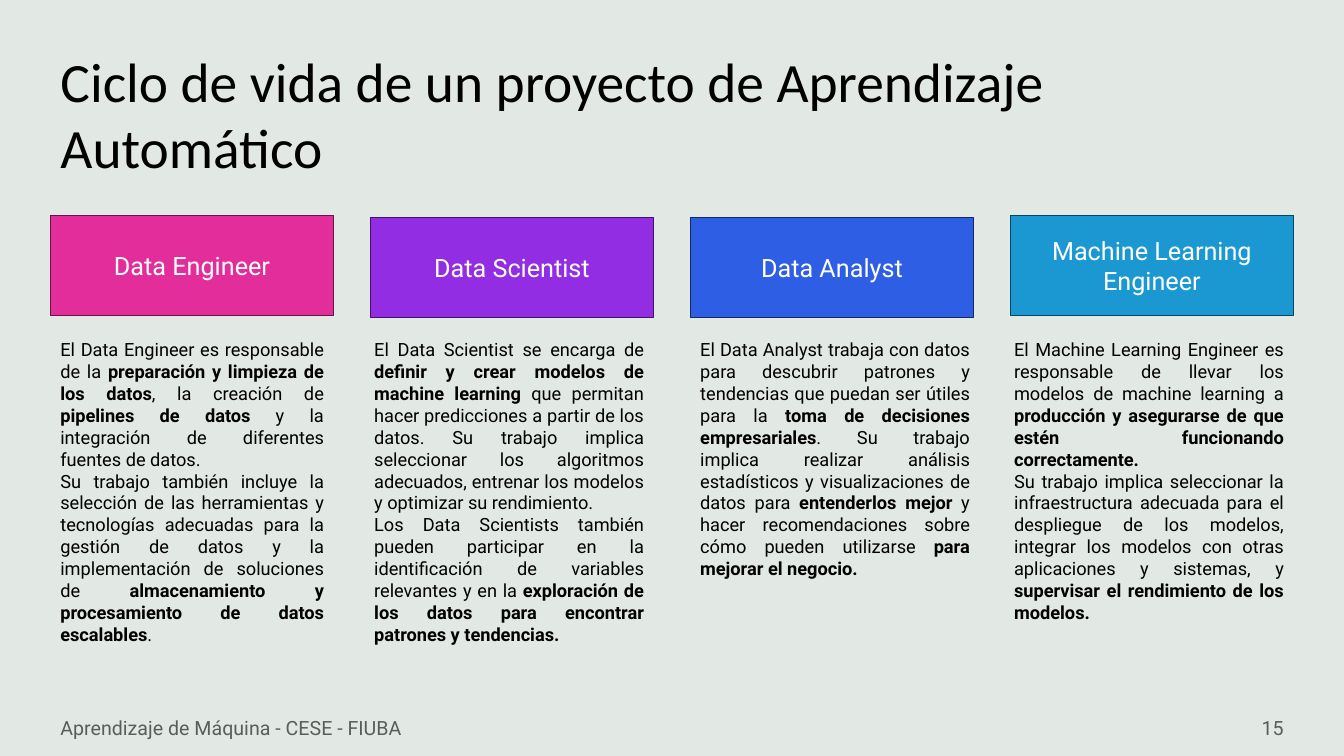
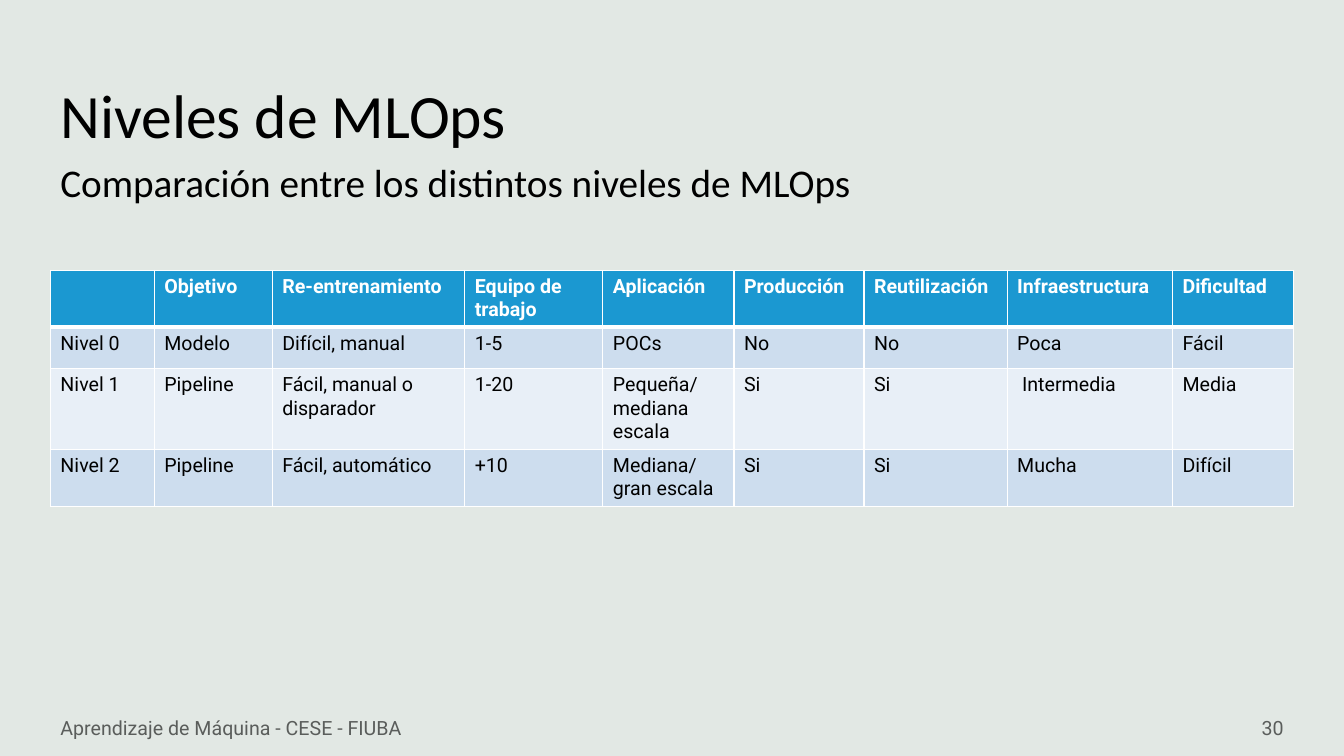
from lxml import etree
from pptx import Presentation
from pptx.dml.color import RGBColor
from pptx.enum.shapes import MSO_SHAPE
from pptx.enum.text import MSO_ANCHOR, MSO_AUTO_SIZE, PP_ALIGN
from pptx.oxml.ns import qn
from pptx.util import Inches, Pt

RECTANGLE = MSO_SHAPE.RECTANGLE
TOP, MIDDLE = MSO_ANCHOR.TOP, MSO_ANCHOR.MIDDLE
LEFT, CENTER, RIGHT, JUSTIFY = (
    PP_ALIGN.LEFT, PP_ALIGN.CENTER, PP_ALIGN.RIGHT, PP_ALIGN.JUSTIFY)
NO_AUTOFIT = MSO_AUTO_SIZE.NONE

# Shared style, lengths in inches
SLIDE_WIDTH, SLIDE_HEIGHT = 13.33, 7.5
MARGIN = 0.5
CONTENT_WIDTH = SLIDE_WIDTH - 2 * MARGIN
TITLE_BOX = (MARGIN, 0.4, 11.92, 1.45)
SUBTITLE_BOX = (MARGIN, 1.56, 11.92, 0.55)
FOOTER_TOP, FOOTER_HEIGHT = 7.02, 0.4
HEADING_FONT, BODY_FONT = "Calibri", "Roboto"
FOOTER = "Aprendizaje de Máquina - CESE - FIUBA"
COLORS = {
    "background": "E2E8E4",
    "text": "000000",
    "footer": "5A5D5B",
    "white": "FFFFFF",
    "pink": "E32D9B", "pink_line": "631444",
    "purple": "932DE3", "purple_line": "401463",
    "blue": "2D5EE3", "blue_line": "142963",
    "cyan": "1B98D1", "cyan_line": "0C435C",
    "band_dark": "CDDDEE", "band_light": "E8EFF7",
}

# Roles: heading, colour, heading drop, text shift, extra text width, paragraphs
# (text between ** marks is bold)
ROLES = [
    ("Data Engineer", "pink", 0, 0, 0, [
        "El Data Engineer es responsable de la **preparación y limpieza de los "
        "datos**, la creación de **pipelines de datos **y la integración de "
        "diferentes fuentes de datos.",
        "Su trabajo también incluye la selección de las herramientas y "
        "tecnologías adecuadas para la gestión de datos y la implementación de "
        "soluciones de **almacenamiento y procesamiento de datos escalables**.",
    ]),
    ("Data Scientist", "purple", 0.02, -0.06, 0.06, [
        "El Data Scientist se encarga de **definir y crear modelos de machine "
        "learning **que permitan hacer predicciones a partir de los datos. Su "
        "trabajo implica seleccionar los algoritmos adecuados, entrenar los "
        "modelos y optimizar su rendimiento.",
        "Los Data Scientists también pueden participar en la identificación de "
        "variables relevantes y en la **exploración de los datos para encontrar "
        "patrones y tendencias.**",
    ]),
    ("Data Analyst", "blue", 0.02, 0, 0.06, [
        "El Data Analyst trabaja con datos para descubrir patrones y tendencias "
        "que puedan ser útiles para la **toma de decisiones empresariales**. Su "
        "trabajo implica realizar análisis estadísticos y visualizaciones de "
        "datos para **entenderlos mejor **y hacer recomendaciones sobre cómo "
        "pueden utilizarse **para mejorar el negocio.**",
    ]),
    ("Machine Learning Engineer", "cyan", 0, -0.06, 0.06, [
        "El Machine Learning Engineer es responsable de llevar los modelos de "
        "machine learning a **producción y asegurarse de que estén funcionando "
        "correctamente.**",
        "Su trabajo implica seleccionar la infraestructura adecuada para el "
        "despliegue de los modelos, integrar los modelos con otras aplicaciones "
        "y sistemas, y **supervisar el rendimiento de los modelos.**",
    ]),
]

LEVELS = [
    ["", "Objetivo", "Re-entrenamiento", "Equipo de trabajo", "Aplicación",
     "Producción", "Reutilización", "Infraestructura", "Dificultad"],
    ["Nivel 0", "Modelo", "Difícil, manual", "1-5", "POCs",
     "No", "No", "Poca", "Fácil"],
    ["Nivel 1", "Pipeline", "Fácil, manual o disparador", "1-20",
     "Pequeña/\nmediana escala", "Si", "Si", " Intermedia", "Media"],
    ["Nivel 2", "Pipeline", "Fácil, automático", "+10",
     "Mediana/\ngran escala", "Si", "Si", "Mucha", "Difícil"],
]
COLUMN_WIDTHS = [1.03, 1.17, 1.91, 1.37, 1.3, 1.29, 1.42, 1.64, 1.2]
ROW_HEIGHTS = [0.55, 0.41, 0.79, 0.56]


def color(name):
    return RGBColor.from_string(COLORS[name])


def inches(box):
    return [Inches(length) for length in box]


def write(frame, paragraphs, size, ink="text", font=BODY_FONT, align=LEFT,
          anchor=MIDDLE, bold=False, spacing=None):
    """Fill a text frame; ** marks switch bold on and off."""
    frame.word_wrap = True
    frame.vertical_anchor = anchor
    for index, text in enumerate(paragraphs):
        paragraph = frame.add_paragraph() if index else frame.paragraphs[0]
        paragraph.alignment = align
        if spacing:
            paragraph.line_spacing = spacing
        for part, piece in enumerate(text.split("**")):
            if piece:
                run = paragraph.add_run()
                run.text = piece
                run.font.name = font
                run.font.size = Pt(size)
                run.font.bold = bold or part % 2 == 1
                run.font.color.rgb = color(ink)


def add_text(slide, box, paragraphs, size, **style):
    shape = slide.shapes.add_textbox(*inches(box))
    write(shape.text_frame, paragraphs, size, **style)


def add_base_slide(presentation, title, title_size, number):
    """Title-only slide with the common title and footer."""
    slide = presentation.slides.add_slide(presentation.slide_layouts[5])
    placeholder = slide.shapes.title
    placeholder.left, placeholder.top, placeholder.width, placeholder.height = (
        inches(TITLE_BOX))
    placeholder.text_frame.auto_size = NO_AUTOFIT
    write(placeholder.text_frame, [title], title_size, font=HEADING_FONT)

    add_text(slide, (MARGIN, FOOTER_TOP, 4.5, FOOTER_HEIGHT), [FOOTER], 14,
             ink="footer")
    add_text(slide, (SLIDE_WIDTH - MARGIN - 3, FOOTER_TOP, 3, FOOTER_HEIGHT),
             [str(number)], 14, ink="footer", align=RIGHT)
    return slide


def add_role(slide, box, role):
    """Coloured heading over a justified description."""
    left, top, width, height = box
    heading, fill, drop, shift, extra, paragraphs = role
    heading_height, text_offset = 0.99, 1.17

    shape = slide.shapes.add_shape(
        RECTANGLE, *inches((left, top + drop, width, heading_height)))
    shape.shadow.inherit = False
    shape.fill.solid()
    shape.fill.fore_color.rgb = color(fill)
    shape.line.color.rgb = color(fill + "_line")
    shape.line.width = Pt(1)
    write(shape.text_frame, [heading], 18, ink="white", align=CENTER)

    add_text(slide, (left + shift, top + text_offset, width + extra,
                     height - text_offset),
             paragraphs, 13, align=JUSTIFY, anchor=TOP)


def set_borders(cell, widths):
    """White cell borders; widths maps side letters to points."""
    properties = cell._tc.get_or_add_tcPr()
    for index, side in enumerate("LRTB"):
        line = etree.Element(qn(f"a:ln{side}"), w=str(Pt(widths[side])))
        fill = etree.SubElement(line, qn("a:solidFill"))
        etree.SubElement(fill, qn("a:srgbClr"), val=COLORS["white"])
        properties.insert(index, line)


def add_level_table(slide, box):
    table = slide.shapes.add_table(
        len(LEVELS), len(COLUMN_WIDTHS), *inches(box)).table
    for column, width in zip(table.columns, COLUMN_WIDTHS):
        column.width = Inches(width)
    for row_index, values in enumerate(LEVELS):
        table.rows[row_index].height = Inches(ROW_HEIGHTS[row_index])
        header = row_index == 0
        band = "band_dark" if row_index % 2 else "band_light"
        borders = {"L": 1, "R": 1, "T": 3 if row_index == 1 else 1,
                   "B": 3 if header else 1}
        for column_index, value in enumerate(values):
            cell = table.cell(row_index, column_index)
            cell.fill.solid()
            cell.fill.fore_color.rgb = color("cyan" if header else band)
            set_borders(cell, borders)
            write(cell.text_frame, value.split("\n"), 14, anchor=TOP,
                  ink="white" if header else "text", bold=header)


def build_roles_slide(presentation):
    slide = add_base_slide(
        presentation, "Ciclo de vida de un proyecto de Aprendizaje Automático",
        39.6, 15)
    top, width, height = 2.14, 2.81, 4.55
    pitch = (CONTENT_WIDTH - width) / (len(ROLES) - 1)
    for index, role in enumerate(ROLES):
        add_role(slide, (MARGIN + index * pitch, top, width, height), role)


def build_levels_slide(presentation):
    slide = add_base_slide(presentation, "Niveles de MLOps", 44, 30)
    add_text(slide, SUBTITLE_BOX,
             ["Comparación entre los distintos niveles de MLOps"], 28,
             font=HEADING_FONT, spacing=0.9)
    add_level_table(slide, (MARGIN, 2.68, CONTENT_WIDTH, sum(ROW_HEIGHTS)))


def main():
    presentation = Presentation()
    presentation.slide_width = Inches(SLIDE_WIDTH)
    presentation.slide_height = Inches(SLIDE_HEIGHT)
    background = presentation.slide_master.background.fill
    background.solid()
    background.fore_color.rgb = color("background")
    build_roles_slide(presentation)
    build_levels_slide(presentation)
    presentation.save("out.pptx")


if __name__ == "__main__":
    main()
